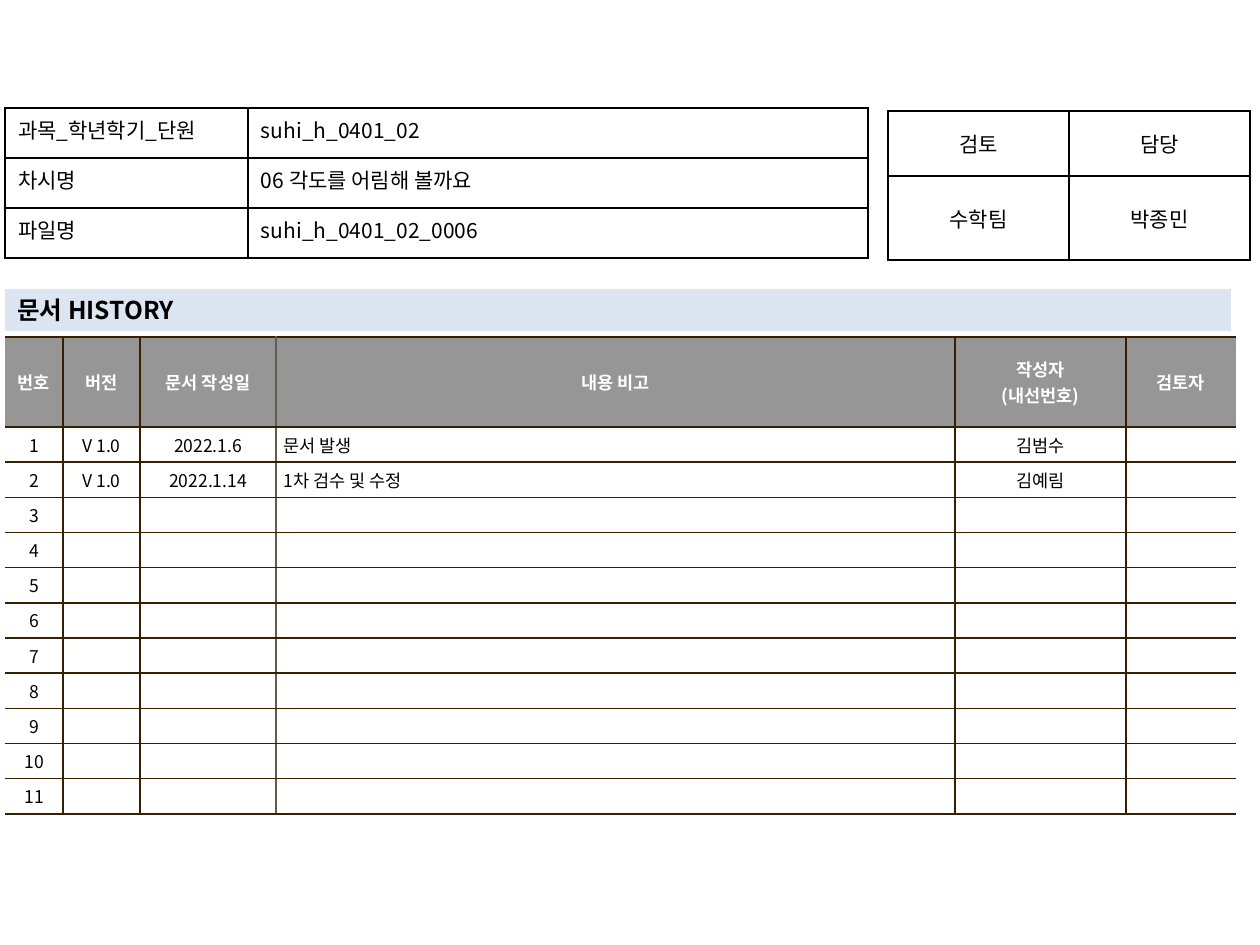
from dataclasses import dataclass

from lxml import etree
from pptx import Presentation
from pptx.dml.color import RGBColor
from pptx.enum.shapes import MSO_SHAPE
from pptx.enum.text import MSO_ANCHOR, PP_ALIGN
from pptx.oxml.ns import qn

RECTANGLE = MSO_SHAPE.RECTANGLE
TOP, MIDDLE = MSO_ANCHOR.TOP, MSO_ANCHOR.MIDDLE
LEFT, CENTER, JUSTIFY = PP_ALIGN.LEFT, PP_ALIGN.CENTER, PP_ALIGN.JUSTIFY


@dataclass(frozen=True)
class Theme:
    font: str = "Noto Sans CJK KR"
    black: str = "000000"
    white: str = "FFFFFF"
    header: str = "969696"
    banner: str = "DCE6F2"
    rule: str = "362000"
    soft_rule: str = "645B4C"
    small: int = 10
    body: int = 12
    title: int = 14


THEME = Theme()


def px(length):
    return round(length * 914400 / 126)


def set_fill(item, color):
    item.fill.solid()
    item.fill.fore_color.rgb = RGBColor.from_string(color)


def write(frame, text, size=THEME.body, color=THEME.black, bold=False, align=LEFT, hanging=0):
    for index, line in enumerate(text.split("\n")):
        para = frame.add_paragraph() if index else frame.paragraphs[0]
        para.alignment = align
        if hanging:
            properties = para._p.get_or_add_pPr()
            properties.set("marL", str(px(hanging)))
            properties.set("indent", str(-px(hanging)))
        if not line:
            etree.SubElement(para._p, qn("a:endParaRPr"), sz=str(size * 100))
            continue
        span = para.add_run()
        span.text = line
        span.font.size = size * 12700
        span.font.bold = bold
        span.font.name = THEME.font
        span.font.color.rgb = RGBColor.from_string(color)
        etree.SubElement(span._r.get_or_add_rPr(), qn("a:ea"), typeface=THEME.font)


def set_borders(cell, left, right, top, bottom):
    properties = cell._tc.get_or_add_tcPr()
    sides = zip(("a:lnL", "a:lnR", "a:lnT", "a:lnB"), (left, right, top, bottom))
    for index, (side, color) in enumerate(sides):
        line = etree.Element(qn(side), w="12700")
        if color:
            solid = etree.SubElement(line, qn("a:solidFill"))
            etree.SubElement(solid, qn("a:srgbClr"), val=color)
        else:
            etree.SubElement(line, qn("a:noFill"))
        properties.insert(index, line)


def add_grid(page, left, top, widths, heights):
    grid = page.shapes.add_table(len(heights), len(widths), px(left), px(top),
                                 px(sum(widths)), px(sum(heights))).table
    grid.first_row = False
    grid.horz_banding = False
    for column, width in zip(grid.columns, widths):
        column.width = px(width)
    for row, height in zip(grid.rows, heights):
        row.height = px(height)
    return grid


def fill_cell(cell, text, margins, fill, anchor, borders, **text_format):
    cell.margin_left = cell.margin_right = px(margins[0])
    cell.margin_top = cell.margin_bottom = px(margins[1])
    cell.vertical_anchor = anchor
    set_fill(cell, fill)
    set_borders(cell, *borders)
    write(cell.text_frame, text, **text_format)


def add_form(page, left, top, widths, heights, rows, anchor, aligns):
    grid = add_grid(page, left, top, widths, heights)
    for row, texts in enumerate(rows):
        for column, text in enumerate(texts):
            fill_cell(grid.cell(row, column), text, (13, 6), THEME.white, anchor,
                      [THEME.black] * 4, align=aligns[column])


def add_history(page, left, top, widths, header_height, row_height, header, entries, row_count):
    heights = [header_height] + [row_height] * row_count
    grid = add_grid(page, left, top, widths, heights)
    blank = [""] * (len(header) - 1)
    rows = [header]
    for number in range(1, row_count + 1):
        rows.append([str(number)] + entries.get(number, blank))
    inner = [THEME.rule] * (len(header) - 1)
    inner[2] = THEME.soft_rule
    verticals = [None] + inner + [None]
    note_column = header.index("내용 비고")
    for row, texts in enumerate(rows):
        heading = row == 0
        for column, text in enumerate(texts):
            note = column == note_column and not heading
            fill_cell(grid.cell(row, column), text, (8, 5),
                      THEME.header if heading else THEME.white, MIDDLE,
                      [verticals[column], verticals[column + 1], THEME.rule, THEME.rule],
                      size=THEME.small, bold=heading,
                      color=THEME.white if heading else THEME.black,
                      align=LEFT if note else CENTER, hanging=24 if note else 0)


def add_banner(page, left, top, width, height, text):
    box = page.shapes.add_shape(RECTANGLE, px(left), px(top), px(width), px(height))
    box.shadow.inherit = False
    set_fill(box, THEME.banner)
    box.line.fill.background()
    frame = box.text_frame
    frame.word_wrap = True
    frame.vertical_anchor = MIDDLE
    write(frame, text, size=THEME.title, bold=True)


def main():
    deck = Presentation()
    deck.slide_width, deck.slide_height = px(1260), px(945)
    page = deck.slides.add_slide(deck.slide_layouts[6])
    add_history(
        page, 5, 337, [58, 77, 136, 679, 171, 110], 90, 31,
        ["번호", "버전", "문서 작성일", "내용 비고", "작성자\n(내선번호)", "검토자"],
        {1: ["V 1.0", "2022.1.6", "문서 발생", "김범수", ""],
         2: ["V 1.0", "2022.1.14", "1차 검수 및 수정", "김예림", ""]}, 11)
    add_form(page, 888, 111, [181, 181], [65, 84],
             [["검토", "담당"], ["수학팀", "박종민"]], MIDDLE, [CENTER, CENTER])
    add_banner(page, 5, 289, 1226, 42, "문서 HISTORY")
    add_form(page, 5, 108, [243, 620], [50] * 3,
             [["과목_학년학기_단원", "suhi_h_0401_02"],
              ["차시명", "06 각도를 어림해 볼까요"],
              ["파일명", "suhi_h_0401_02_0006"]], TOP, [JUSTIFY, LEFT])
    deck.save("out.pptx")


if __name__ == "__main__":
    main()
